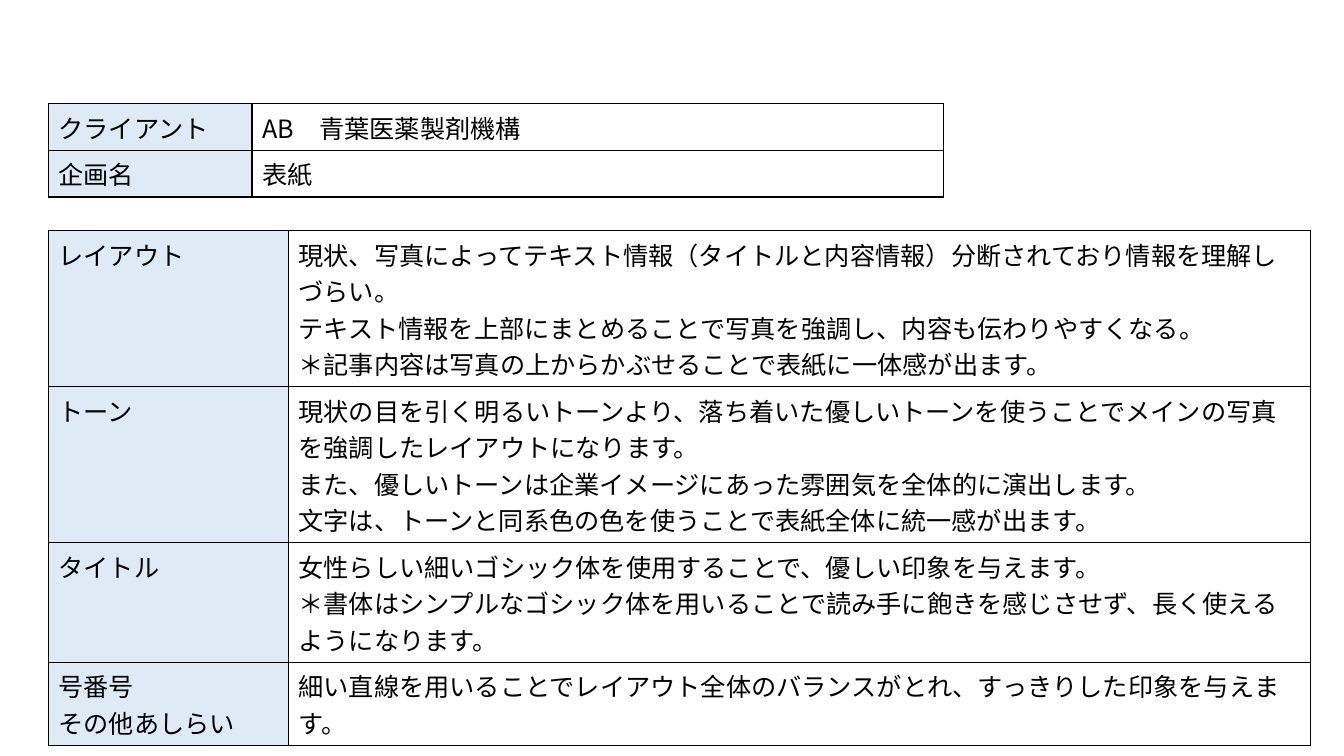
from lxml import etree
from pptx import Presentation
from pptx.dml.color import RGBColor
from pptx.enum import text
from pptx.oxml import ns
from pptx.util import Inches, Pt

# Content: (label, description, lines shown, label anchor, description anchor)
TOP, MIDDLE = text.MSO_ANCHOR.TOP, text.MSO_ANCHOR.MIDDLE
PROJECT = [
    ("クライアント", "AB　青葉医薬製剤機構", 1, TOP, TOP),
    ("企画名", "表紙", 1, TOP, TOP),
]
PROPOSAL = [
    ("レイアウト",
     "現状、写真によってテキスト情報（タイトルと内容情報）分断されており情報を理解しづらい。\n"
     "テキスト情報を上部にまとめることで写真を強調し、内容も伝わりやすくなる。\n"
     "＊記事内容は写真の上からかぶせることで表紙に一体感が出ます。", 4, TOP, MIDDLE),
    ("トーン",
     "現状の目を引く明るいトーンより、落ち着いた優しいトーンを使うことでメインの写真を強調したレイアウトになります。\n"
     "また、優しいトーンは企業イメージにあった雰囲気を全体的に演出します。\n"
     "文字は、トーンと同系色の色を使うことで表紙全体に統一感が出ます。", 4, TOP, MIDDLE),
    ("タイトル",
     "女性らしい細いゴシック体を使用することで、優しい印象を与えます。\n"
     "＊書体はシンプルなゴシック体を用いることで読み手に飽きを感じさせず、長く使えるようになります。",
     3, TOP, MIDDLE),
    ("号番号\nその他あしらい",
     "細い直線を用いることでレイアウト全体のバランスがとれ、すっきりした印象を与えます。",
     2, MIDDLE, TOP),
]

# Style and grid
FONT = "Noto Sans CJK JP"
BLACK = RGBColor(0x00, 0x00, 0x00)
WHITE = RGBColor(0xFF, 0xFF, 0xFF)
PALE_BLUE = RGBColor(0xDE, 0xEB, 0xF7)
LEFT = 0.48
LINE_HEIGHT, ROW_PADDING = 0.36, 0.1


def add_borders(cell):
    properties = cell._tc.get_or_add_tcPr()
    for side in ("a:lnL", "a:lnR", "a:lnT", "a:lnB"):
        border = etree.SubElement(properties, ns.qn(side), w=str(Pt(1)))
        fill = etree.SubElement(border, ns.qn("a:solidFill"))
        etree.SubElement(fill, ns.qn("a:srgbClr"), val=str(BLACK))


def fill_cell(cell, wording, background, anchor):
    add_borders(cell)
    cell.fill.solid()
    cell.fill.fore_color.rgb = background
    cell.vertical_anchor = anchor
    cell.text_frame.text = wording
    for paragraph in cell.text_frame.paragraphs:
        for run in paragraph.runs:
            run.font.size = Pt(18)
            run.font.bold = False
            run.font.color.rgb = BLACK
            run.font.name = FONT
            etree.SubElement(run.font._element, ns.qn("a:ea"), typeface=FONT)


def add_sheet(slide, entries, top, widths):
    heights = [ROW_PADDING + LINE_HEIGHT * entry[2] for entry in entries]
    sheet = slide.shapes.add_table(
        len(entries), len(widths), Inches(LEFT), Inches(top),
        Inches(sum(widths)), Inches(sum(heights))).table
    sheet.first_row = sheet.horz_banding = False
    for column, width in zip(sheet.columns, widths):
        column.width = Inches(width)
    for row, height, entry in zip(sheet.rows, heights, entries):
        label, description, _, label_anchor, description_anchor = entry
        row.height = Inches(height)
        fill_cell(row.cells[0], label, PALE_BLUE, label_anchor)
        fill_cell(row.cells[1], description, WHITE, description_anchor)


def main():
    deck = Presentation()
    deck.slide_width, deck.slide_height = Inches(13.33), Inches(7.5)
    slide = deck.slides.add_slide(deck.slide_layouts[6])

    # Project details above, design proposal below
    add_sheet(slide, PROJECT, 1.03, (2.02, 6.86))
    add_sheet(slide, PROPOSAL, 2.29, (2.38, 10.14))
    deck.save("out.pptx")


if __name__ == "__main__":
    main()
